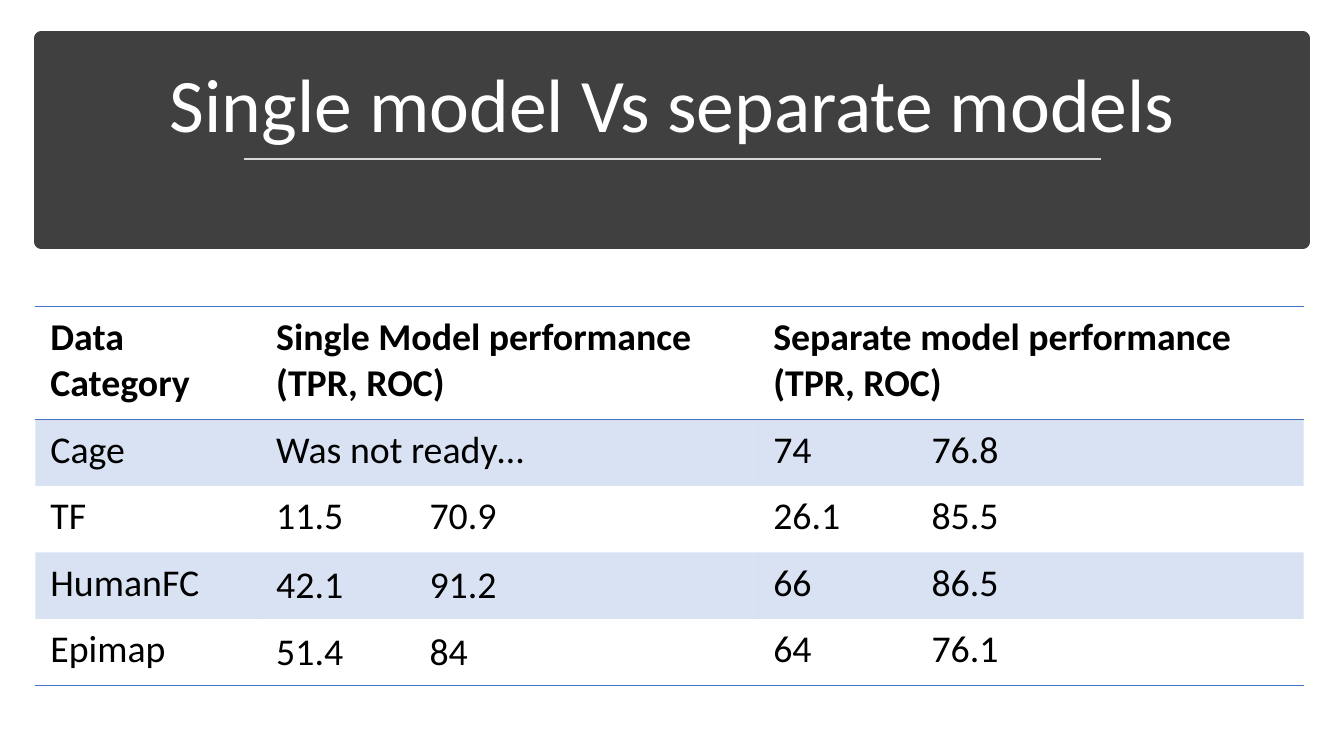
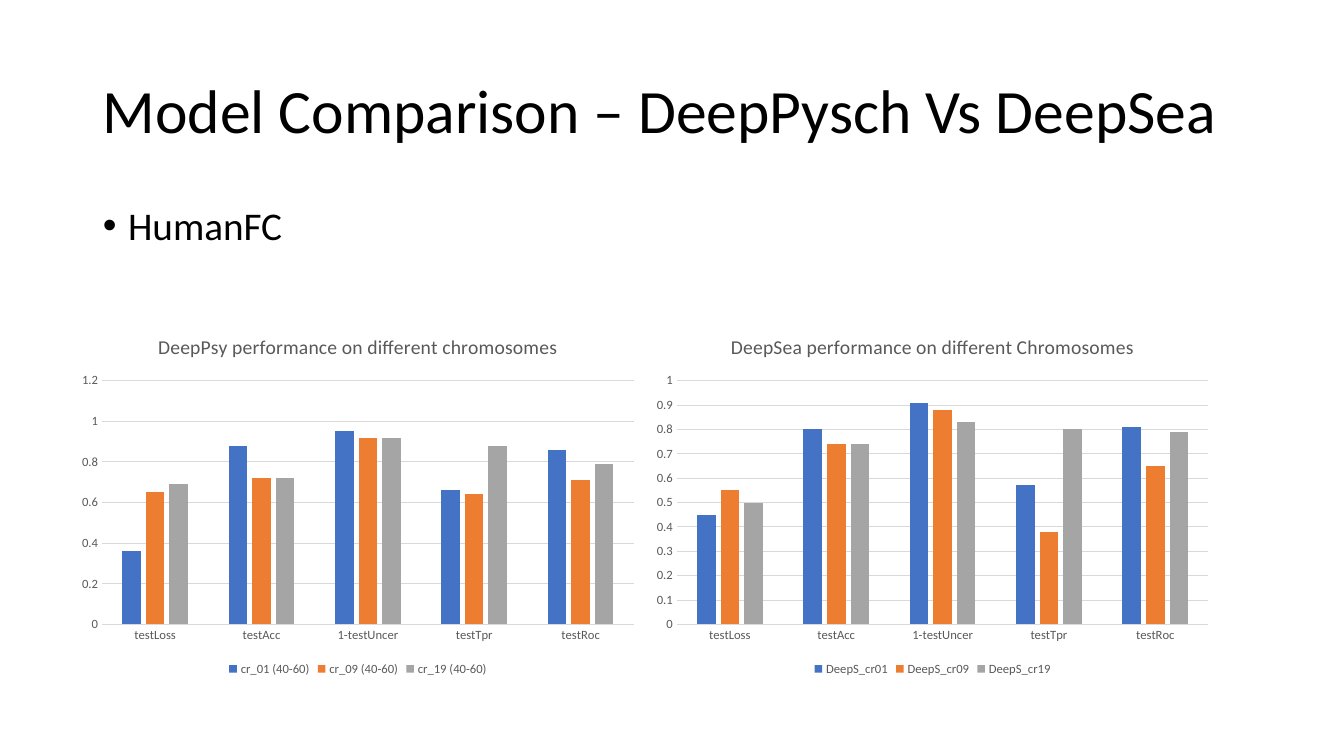
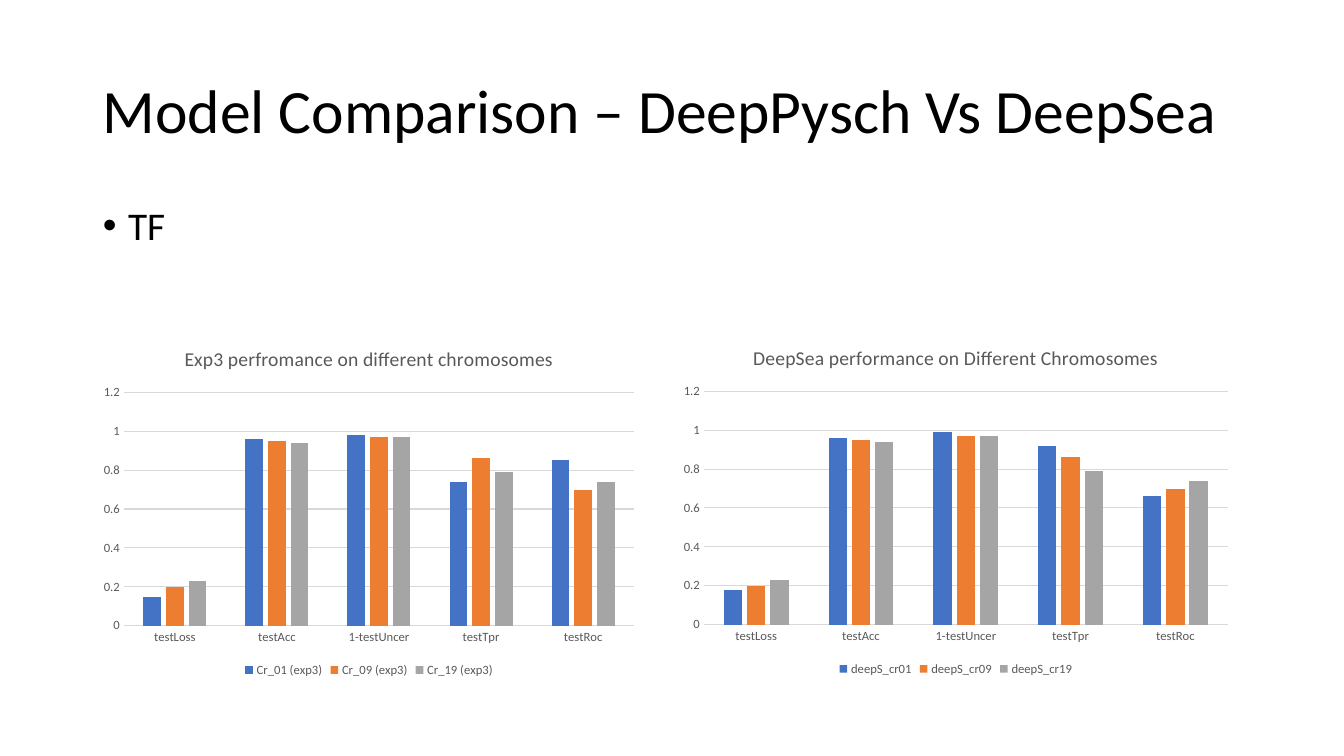
"""Build three slides comparing model performance with a table and charts."""
from lxml import etree
from pptx import Presentation
from pptx.chart.data import CategoryChartData
from pptx.dml.color import RGBColor
from pptx.enum.chart import XL_CHART_TYPE, XL_LEGEND_POSITION, XL_TICK_MARK
from pptx.enum.shapes import MSO_CONNECTOR, MSO_SHAPE
from pptx.enum.text import MSO_ANCHOR, MSO_AUTO_SIZE, PP_ALIGN
from pptx.oxml import parse_xml
from pptx.oxml.ns import nsdecls, qn
from pptx.util import Inches, Pt

CLUSTERED = XL_CHART_TYPE.COLUMN_CLUSTERED
LEGEND_BOTTOM = XL_LEGEND_POSITION.BOTTOM
NO_TICK = XL_TICK_MARK.NONE
STRAIGHT = MSO_CONNECTOR.STRAIGHT
RECTANGLE = MSO_SHAPE.RECTANGLE
TOP, MIDDLE, BOTTOM = MSO_ANCHOR.TOP, MSO_ANCHOR.MIDDLE, MSO_ANCHOR.BOTTOM
NO_AUTOFIT = MSO_AUTO_SIZE.NONE
LEFT, CENTER = PP_ALIGN.LEFT, PP_ALIGN.CENTER

FONT = "Calibri"
BLACK, WHITE = "000000", "FFFFFF"
DARK, GRID, MUTED = "404040", "D9D9D9", "595959"
BLUE, ORANGE, GRAY = "4472C4", "ED7D31", "A5A5A5"
SERIES_COLORS = (BLUE, ORANGE, GRAY)
TITLE_BOX = (0.92, 0.4, 11.5, 1.45)
BODY_BOX = (0.92, 2, 11.5, 4.76)
NO_STYLE_TABLE = "{2D5ABB26-0587-4C30-8999-92F81FD0307C}"

TABLE_TITLE = "Single model Vs separate models"
TABLE_ROWS = [
    ("Data Category", "Single Model performance (TPR, ROC)",
     "Separate model performance (TPR, ROC)"),
    ("Cage", "Was not ready…", "74\t76.8"),
    ("TF", "11.5\t70.9", "26.1\t85.5"),
    ("HumanFC", "42.1\t91.2", "66\t86.5"),
    ("Epimap", "51.4\t84", "64\t76.1"),
]
COLUMN_WIDTHS = (2.24, 4.93, 5.41)
ROW_HEIGHTS = (1.12, 0.66, 0.66, 0.66, 0.66)
TAB_STOPS = (None, 1.52, 1.57)
MIDDLE_CELLS = {(3, 1), (4, 1)}

COMPARISON_TITLE = "Model Comparison – DeepPysch Vs DeepSea"
CATEGORIES = ("testLoss", "testAcc", "1-testUncer", "testTpr", "testRoc")
COMPARISONS = [
    ("HumanFC", [
        {"title": "DeepPsy performance on different chromosomes",
         "box": (0.7, 3.15, 5.7, 3.6), "scale": (1.2, 0.2),
         "series": {"cr_01 (40-60)": (0.36, 0.88, 0.95, 0.66, 0.86),
                    "cr_09 (40-60)": (0.65, 0.72, 0.92, 0.64, 0.71),
                    "cr_19 (40-60)": (0.69, 0.72, 0.92, 0.88, 0.79)}},
        {"title": "DeepSea performance on different Chromosomes",
         "box": (6.4, 3.15, 5.7, 3.6), "scale": (1, 0.1),
         "series": {"DeepS_cr01": (0.45, 0.8, 0.91, 0.57, 0.81),
                    "DeepS_cr09": (0.55, 0.74, 0.88, 0.38, 0.65),
                    "DeepS_cr19": (0.5, 0.74, 0.83, 0.8, 0.79)}},
    ]),
    ("TF", [
        {"title": "Exp3 perfromance on different chromosomes",
         "box": (0.92, 3.27, 5.48, 3.49), "scale": (1.2, 0.2),
         "series": {"Cr_01 (exp3)": (0.15, 0.96, 0.98, 0.74, 0.85),
                    "Cr_09 (exp3)": (0.2, 0.95, 0.97, 0.86, 0.7),
                    "Cr_19 (exp3)": (0.23, 0.94, 0.97, 0.79, 0.74)}},
        {"title": "DeepSea performance on Different Chromosomes",
         "box": (6.67, 3.26, 5.62, 3.49), "scale": (1.2, 0.2),
         "series": {"deepS_cr01": (0.18, 0.96, 0.99, 0.92, 0.66),
                    "deepS_cr09": (0.2, 0.95, 0.97, 0.86, 0.7),
                    "deepS_cr19": (0.23, 0.94, 0.97, 0.79, 0.74)}},
    ]),
]


def color(value):
    return RGBColor.from_string(value)


def inches(values):
    return [Inches(value) for value in values]


def apply(target, formats):
    for name, value in formats.items():
        setattr(target, name, value)


def style_font(font, size, hex_color, bold=False):
    apply(font, {"name": FONT, "size": Pt(size), "bold": bold})
    font.color.rgb = color(hex_color)


def style_line(line, hex_color, width):
    line.color.rgb = color(hex_color)
    line.width = Pt(width)


def fill_placeholder(shape, text, box, size, hex_color, anchor, align):
    apply(shape, dict(zip(("left", "top", "width", "height"), inches(box))))
    frame = shape.text_frame
    frame.text = text
    apply(frame, {"word_wrap": True, "auto_size": NO_AUTOFIT, "vertical_anchor": anchor})
    paragraph = frame.paragraphs[0]
    apply(paragraph, {"alignment": align, "line_spacing": 0.9})
    style_font(paragraph.runs[0].font, size, hex_color)
    return paragraph


def add_bullet(paragraph):
    paragraph.space_before = Pt(10)
    properties = paragraph._p.get_or_add_pPr()
    properties.set("marL", str(Inches(0.25)))
    properties.set("indent", str(-Inches(0.25)))
    etree.SubElement(properties, qn("a:buFont")).set("typeface", "Arial")
    etree.SubElement(properties, qn("a:buChar")).set("char", "•")


def add_header_band(slide):
    band = slide.shapes.add_shape(RECTANGLE, *inches((0.41, 0.38, 12.51, 2.02)))
    band.shadow.inherit = False
    band.fill.solid()
    band.fill.fore_color.rgb = color(DARK)
    style_line(band.line, DARK, 10)
    slide.shapes._spTree.insert(2, band._element)
    rule = slide.shapes.add_connector(STRAIGHT, *inches((2.42, 1.58, 10.92, 1.58)))
    style_line(rule.line, GRID, 1.75)
    etree.SubElement(rule._element.spPr, qn("a:effectLst"))


def add_cell_border(cell, tag, position):
    cell._tc.get_or_add_tcPr().insert(position, parse_xml(
        f'<a:{tag} {nsdecls("a")} w="{Pt(1)}"><a:solidFill>'
        f'<a:srgbClr val="{BLUE}"/></a:solidFill></a:{tag}>'))


def fill_cell(cell, text, row, column):
    side, edge = Inches(0.15), Inches(0.08)
    apply(cell, {"text": text, "margin_left": side, "margin_right": side,
                 "margin_top": edge, "margin_bottom": edge,
                 "vertical_anchor": MIDDLE if (row, column) in MIDDLE_CELLS else TOP})
    paragraph = cell.text_frame.paragraphs[0]
    style_font(paragraph.runs[0].font, 27, BLACK, bold=row == 0)
    if "\t" in text:
        tabs = etree.SubElement(paragraph._p.get_or_add_pPr(), qn("a:tabLst"))
        tab = etree.SubElement(tabs, qn("a:tab"))
        tab.set("pos", str(Inches(TAB_STOPS[column])))
        tab.set("algn", "l")
    if row % 2:
        cell.fill.solid()
        cell.fill.fore_color.rgb = color(BLUE)
        tint = cell._tc.tcPr.find(".//" + qn("a:srgbClr"))
        etree.SubElement(tint, qn("a:alpha")).set("val", "20000")
    else:
        cell.fill.background()
    if row in (0, len(TABLE_ROWS) - 1):
        add_cell_border(cell, "lnB", 0)
    if row == 0:
        add_cell_border(cell, "lnT", 0)


def add_performance_table(slide):
    frame = slide.shapes.add_table(len(TABLE_ROWS), len(COLUMN_WIDTHS),
                                   *inches((0.35, 3.04, 12.57, 3.78)))
    table = frame.table
    apply(table, {"first_row": False, "horz_banding": False})
    table._tbl.tblPr.find(qn("a:tableStyleId")).text = NO_STYLE_TABLE
    for column, width in zip(table.columns, COLUMN_WIDTHS):
        column.width = Inches(width)
    for row, height in zip(table.rows, ROW_HEIGHTS):
        row.height = Inches(height)
    for row, texts in enumerate(TABLE_ROWS):
        for column, text in enumerate(texts):
            fill_cell(table.cell(row, column), text, row, column)


def add_performance_chart(slide, content):
    data = CategoryChartData()
    data.categories = CATEGORIES
    for name, values in content["series"].items():
        data.add_series(name, values)
    chart = slide.shapes.add_chart(CLUSTERED, *inches(content["box"]), data).chart
    style_font(chart.font, 10, BLACK)

    title = chart.chart_title
    title.include_in_layout = False
    title.text_frame.text = content["title"]
    style_font(title.text_frame.paragraphs[0].runs[0].font, 14, MUTED)

    chart.has_legend = True
    apply(chart.legend, {"position": LEGEND_BOTTOM, "include_in_layout": False})
    style_font(chart.legend.font, 9, MUTED)

    plot = chart.plots[0]
    apply(plot, {"gap_width": 219, "overlap": -27, "vary_by_categories": False})
    for series, hex_color in zip(plot.series, SERIES_COLORS):
        series.format.fill.solid()
        series.format.fill.fore_color.rgb = color(hex_color)

    for axis in (chart.category_axis, chart.value_axis):
        apply(axis, {"major_tick_mark": NO_TICK, "minor_tick_mark": NO_TICK})
        style_font(axis.tick_labels.font, 9, MUTED)
    style_line(chart.category_axis.format.line, GRID, 0.75)
    value_axis = chart.value_axis
    maximum, step = content["scale"]
    apply(value_axis, {"minimum_scale": 0, "maximum_scale": maximum, "major_unit": step})
    value_axis.format.line.fill.background()
    style_line(value_axis.major_gridlines.format.line, GRID, 0.75)


def add_table_slide(presentation):
    slide = presentation.slides.add_slide(presentation.slide_layouts[5])
    fill_placeholder(slide.shapes.title, TABLE_TITLE, (0.58, 0.51, 12.18, 1.02),
                     54, WHITE, BOTTOM, CENTER)
    add_header_band(slide)
    add_performance_table(slide)


def add_comparison_slide(presentation, dataset, charts):
    slide = presentation.slides.add_slide(presentation.slide_layouts[1])
    fill_placeholder(slide.shapes.title, COMPARISON_TITLE, TITLE_BOX,
                     44, BLACK, MIDDLE, LEFT)
    add_bullet(fill_placeholder(slide.placeholders[1], dataset, BODY_BOX,
                                28, BLACK, TOP, LEFT))
    for content in charts:
        add_performance_chart(slide, content)


def main():
    presentation = Presentation()
    presentation.slide_width, presentation.slide_height = inches((13.33, 7.5))
    add_table_slide(presentation)
    for dataset, charts in COMPARISONS:
        add_comparison_slide(presentation, dataset, charts)
    presentation.save("out.pptx")


main()
